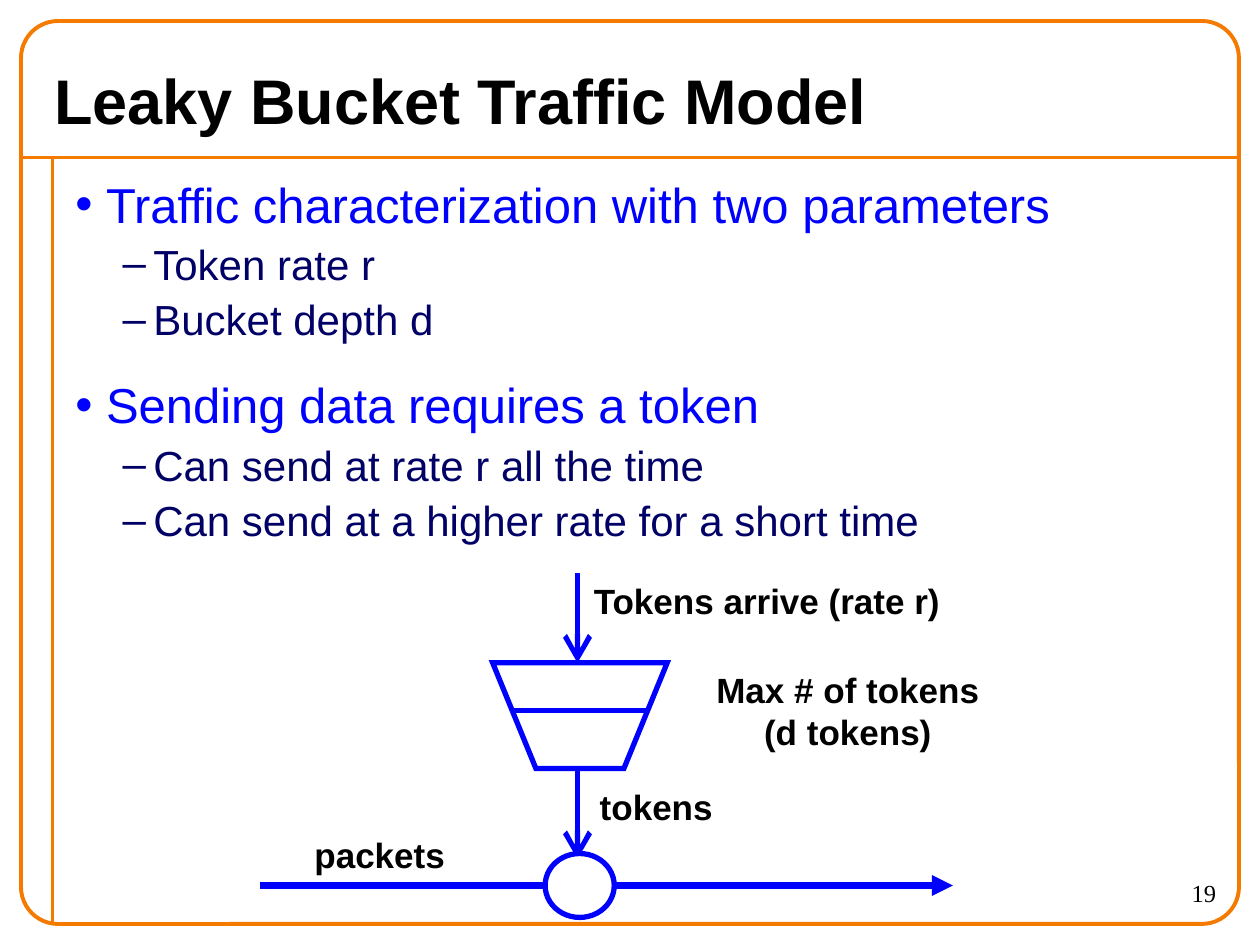
from dataclasses import dataclass

from lxml import etree
from pptx import Presentation
from pptx.dml.color import RGBColor
from pptx.enum.shapes import MSO_CONNECTOR as Connector, MSO_SHAPE as Shape
from pptx.enum.text import (MSO_ANCHOR as Anchor, MSO_AUTO_SIZE as AutoSize,
                            PP_ALIGN as Align)
from pptx.oxml.ns import qn
from pptx.util import Pt


@dataclass(frozen=True)
class Theme:
    font: str = "Arial"
    number_font: str = "Times New Roman"
    black: str = "000000"
    white: str = "FFFFFF"
    frame: str = "F47A00"
    blue: str = "0000FF"
    navy: str = "000066"
    title_size: float = 36
    topic_size: float = 28
    point_size: float = 24
    label_size: float = 20
    number_size: float = 14
    frame_width: float = 2.25
    diagram_width: float = 3
    flow_width: float = 4


class SlideBuilder:
    def __init__(self, slide, theme):
        self.shapes = slide.shapes
        self.theme = theme

    def style_line(self, line, color, width):
        line.color.rgb = RGBColor.from_string(color)
        line.width = Pt(width)

    def line(self, start, end, color, width, arrowhead=None, head_size="med"):
        connector = self.shapes.add_connector(
            Connector.STRAIGHT, *map(Pt, (*start, *end)))
        self.style_line(connector.line, color, width)
        if arrowhead:
            etree.SubElement(connector.line._get_or_add_ln(), qn("a:tailEnd"),
                             type=arrowhead, w=head_size, len=head_size)
        etree.SubElement(connector._element.spPr, qn("a:effectLst"))

    def shape(self, kind, box, color, width, fill=None, corner=None):
        shape = self.shapes.add_shape(kind, *map(Pt, box))
        self.finish(shape, color, width, fill)
        if corner is not None:
            shape.adjustments[0] = corner

    def polygon(self, points, color, width):
        first, *rest = [(Pt(x), Pt(y)) for x, y in points]
        outline = self.shapes.build_freeform(*first)
        outline.add_line_segments(rest, close=True)
        shape = outline.convert_to_shape()
        self.finish(shape, color, width)
        etree.SubElement(shape.line._get_or_add_ln(), qn("a:miter"),
                         lim="800000")

    def finish(self, shape, color, width, fill=None):
        shape.shadow.inherit = False
        if fill:
            shape.fill.solid()
            shape.fill.fore_color.rgb = RGBColor.from_string(fill)
        else:
            shape.fill.background()
        self.style_line(shape.line, color, width)

    def style_font(self, paragraph, size, color, bold=False, font=None):
        paragraph.font.name = font or self.theme.font
        paragraph.font.size = Pt(size)
        paragraph.font.bold = bold
        paragraph.font.color.rgb = RGBColor.from_string(color)

    def text(self, box, lines, size, bold=True, align=Align.LEFT,
             anchor=Anchor.TOP, font=None):
        frame = self.shapes.add_textbox(*map(Pt, box)).text_frame
        frame.word_wrap = True
        frame.vertical_anchor = anchor
        frame.text = "\n".join(lines)
        for paragraph in frame.paragraphs:
            paragraph.alignment = align
            self.style_font(paragraph, size, self.theme.black, bold, font)
        return frame

    def label(self, box, *lines):
        frame = self.text(box, lines, self.theme.label_size,
                          align=Align.CENTER)
        frame.word_wrap = False
        frame.auto_size = AutoSize.SHAPE_TO_FIT_TEXT

    def outline(self, box, topics):
        theme = self.theme
        frame = self.shapes.add_textbox(*map(Pt, box)).text_frame
        frame.word_wrap = True
        entries = [entry for topic, points in topics
                   for entry in [(0, topic), *((1, point) for point in points)]]
        # Level: bullet, left margin, space before, size, colour
        levels = (("•", 17.5, 17.5, theme.topic_size, theme.blue),
                  ("–", 44.5, 3, theme.point_size, theme.navy))
        for index, (level, wording) in enumerate(entries):
            paragraph = frame.add_paragraph() if index else frame.paragraphs[0]
            bullet, margin, space, size, color = levels[level]
            paragraph.text = wording
            paragraph.level = level
            paragraph.space_before = Pt(space)
            self.style_font(paragraph, size, color)
            props = paragraph._p.get_or_add_pPr()
            props.set("marL", str(Pt(margin)))
            props.set("indent", str(Pt(-17.5)))
            defaults = props.find(qn("a:defRPr"))
            for tag, attributes in (("a:buFont", {"typeface": theme.font}),
                                    ("a:buChar", {"char": bullet})):
                defaults.addprevious(etree.Element(qn(tag), attributes))


def main():
    theme = Theme()
    deck = Presentation()
    deck.slide_width, deck.slide_height = Pt(720), Pt(540)
    page = SlideBuilder(deck.slides.add_slide(deck.slide_layouts[6]), theme)

    # Page frame
    page.line((12, 90), (708, 90), theme.frame, theme.frame_width)
    page.line((30, 90), (30, 528), theme.frame, theme.frame_width)
    page.shape(Shape.ROUNDED_RECTANGLE, (12, 12, 696, 516), theme.frame,
               theme.frame_width, corner=0.041)

    # Title and outline
    page.text((24, 30, 635, 54), ["Leaky Bucket Traffic Model"],
              theme.title_size, anchor=Anchor.MIDDLE)
    page.outline((36, 96, 666, 225), [
        ("Traffic characterization with two parameters",
         ["Token rate r", "Bucket depth d"]),
        ("Sending data requires a token",
         ["Can send at rate r all the time",
          "Can send at a higher rate for a short time"]),
    ])

    # Bucket, token arrows and packet flow
    token_x, bucket_top, bucket_bottom, flow_y = 330, 378.75, 439.25, 506
    blue, width = theme.blue, theme.diagram_width
    page.polygon([(281.5, bucket_top), (381.25, bucket_top),
                  (356.5, bucket_bottom), (306.25, bucket_bottom)], blue, width)
    page.line((148.5, flow_y), (544.5, flow_y), blue, theme.flow_width,
              "triangle")
    page.line((token_x, bucket_bottom), (token_x, 491), blue, width,
              "arrow", "lg")
    page.shape(Shape.OVAL, (311.5, flow_y - 18.25, 39.5, 36.5), blue, width,
               fill=theme.white)
    page.line((token_x, 327.5), (token_x, bucket_top), blue, width,
              "arrow", "lg")
    page.line((293.5, 406), (369.5, 406), blue, width)

    # Diagram labels; the space after "tokens" shifts the centred line
    page.label((331.5, 327.5, 213.5, 31.5), "Tokens arrive (rate r)")
    page.label((399.5, 378.75, 170, 55.5), "Max # of tokens ", "(d tokens)")
    page.label((172.5, 472.5, 89, 31.5), "packets")
    page.label((335.5, 445.5, 79, 31.5), "tokens")

    # Page number
    page.text((630, 498, 72, 30), ["19"], theme.number_size, bold=False,
              align=Align.RIGHT, font=theme.number_font)

    deck.save("out.pptx")


if __name__ == "__main__":
    main()
